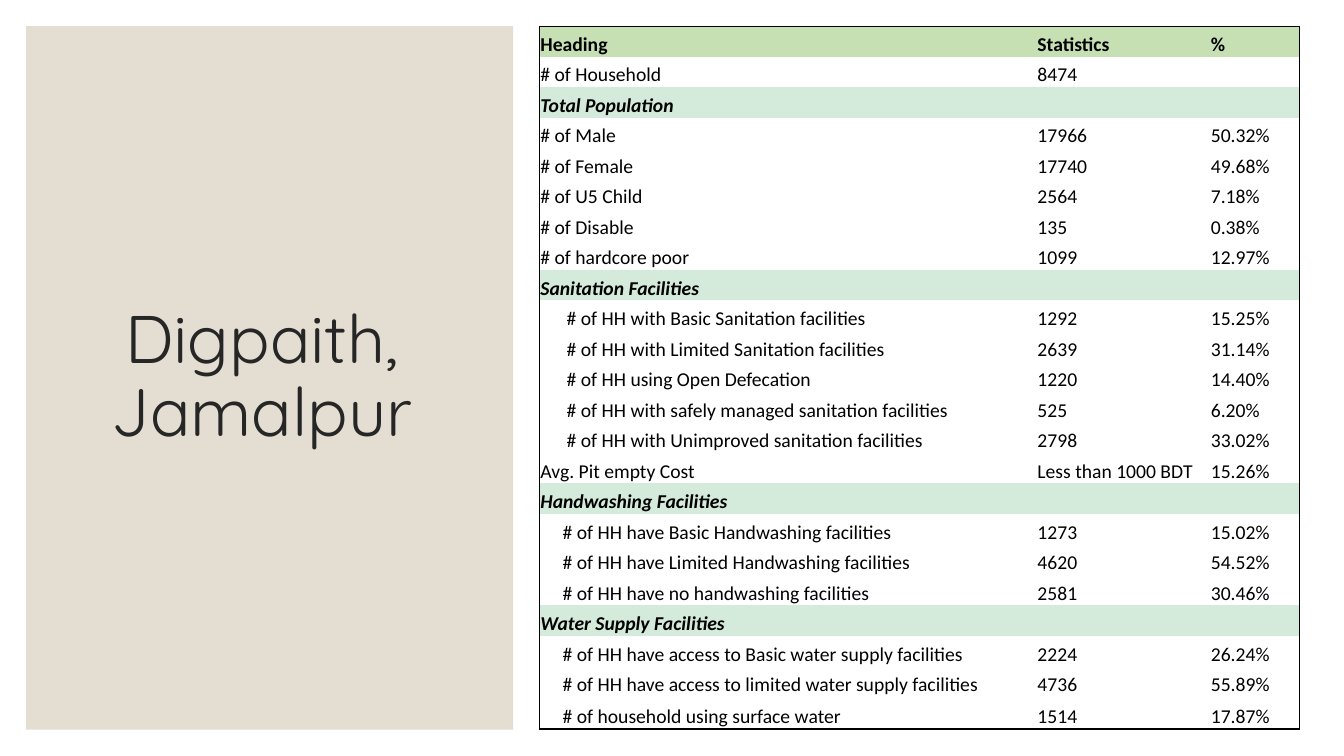
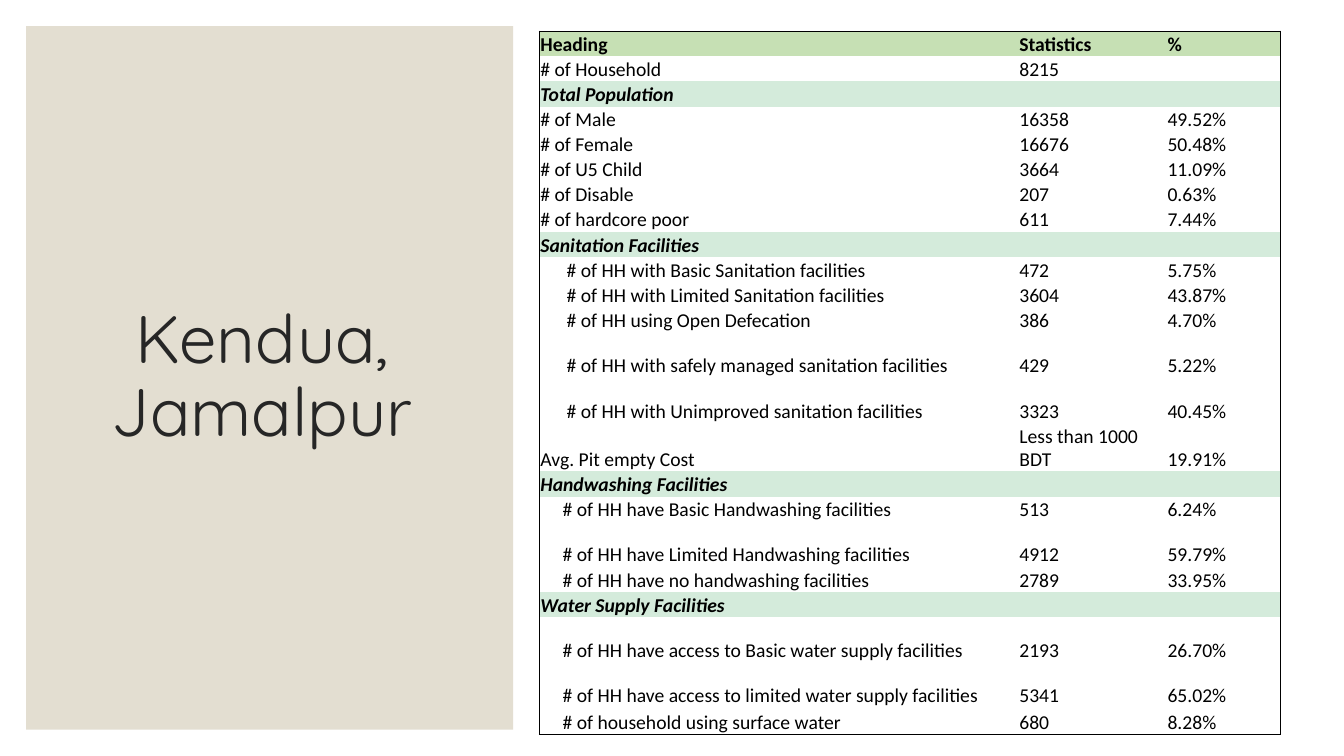
from lxml import etree
from pptx import Presentation
from pptx.dml.color import RGBColor
from pptx.enum.shapes import MSO_SHAPE as SHAPE
from pptx.enum.text import MSO_ANCHOR as ANCHOR, PP_ALIGN as ALIGN
from pptx.oxml.ns import qn
from pptx.util import Inches, Pt

WIDTH, HEIGHT, MARGIN = 13.33, 7.5, 0.26
PANEL_W, PANEL_H = 4.83, HEIGHT - 2 * MARGIN
TABLE_X = PANEL_W + 2 * MARGIN
WHITE, SAND, INK, BLACK = "FFFFFF", "E3DED1", "262626", "000000"
HEADER_GREEN, SECTION_GREEN = "C6E0B4", "D4EBDB"
TITLE_FONT, TABLE_FONT = "Quicksand", "Calibri"
NO_STYLE = "{2D5ABB26-0587-4C30-8999-92F81FD0307C}"

SECTIONS = [
    (None, 0, ["# of Household"]),
    ("Total Population", 0, [
        "# of Male", "# of Female", "# of U5 Child", "# of Disable",
        "# of hardcore poor"]),
    ("Sanitation Facilities", 0.26, [
        "# of HH with Basic Sanitation facilities",
        "# of HH with Limited Sanitation facilities",
        "# of HH using Open Defecation",
        "# of HH with safely managed sanitation facilities",
        "# of HH with Unimproved sanitation facilities",
        "Avg. Pit empty Cost"]),
    ("Handwashing Facilities", 0.22, [
        "# of HH have Basic Handwashing facilities",
        "# of HH have Limited Handwashing facilities",
        "# of HH have no handwashing facilities"]),
    ("Water Supply Facilities", 0.22, [
        "# of HH have access to Basic water supply facilities",
        "# of HH have access to limited water supply facilities",
        "# of household using surface water"]),
]

DIGPAITH = [
    ("8474", ""),
    ("17966", "50.32%"), ("17740", "49.68%"), ("2564", "7.18%"),
    ("135", "0.38%"), ("1099", "12.97%"),
    ("1292", "15.25%"), ("2639", "31.14%"), ("1220", "14.40%"),
    ("525", "6.20%"), ("2798", "33.02%"), ("Less than 1000 BDT", "15.26%"),
    ("1273", "15.02%"), ("4620", "54.52%"), ("2581", "30.46%"),
    ("2224", "26.24%"), ("4736", "55.89%"), ("1514", "17.87%"),
]
KENDUA = [
    ("8215", ""),
    ("16358", "49.52%"), ("16676", "50.48%"), ("3664", "11.09%"),
    ("207", "0.63%"), ("611", "7.44%"),
    ("472", "5.75%"), ("3604", "43.87%"), ("386", "4.70%"),
    ("429", "5.22%"), ("3323", "40.45%"), ("Less than 1000 BDT", "19.91%"),
    ("513", "6.24%"), ("4912", "59.79%"), ("2789", "33.95%"),
    ("2193", "26.70%"), ("5341", "65.02%"), ("680", "8.28%"),
]


def rgb(color):
    return RGBColor.from_string(color)


def box(*lengths):
    return [Inches(v) for v in lengths]


def style(p, font, size, color, bold=False, italic=False):
    f = p.font
    f.name, f.size, f.bold, f.italic = font, Pt(size), bold, italic
    f.color.rgb = rgb(color)


def add_panel(s, color, *lengths):
    sp = s.shapes.add_shape(SHAPE.RECTANGLE, *box(*lengths))
    sp.shadow.inherit = False
    sp.fill.solid()
    sp.fill.fore_color.rgb = rgb(color)
    sp.line.fill.background()


def add_title(s, text):
    tf = s.shapes.add_textbox(*box(0.45, 0.61, 4.3, 6.29)).text_frame
    tf.word_wrap = True
    tf.vertical_anchor = ANCHOR.MIDDLE
    p = tf.paragraphs[0]
    p.text = text
    p.alignment = ALIGN.CENTER
    p.line_spacing = 0.9
    style(p, TITLE_FONT, 48, INK)


def add_borders(cell, sides):
    tc_pr = cell._tc.get_or_add_tcPr()
    for side in sides:
        ln = etree.SubElement(tc_pr, qn(f"a:ln{side}"), w=str(Pt(1)))
        fill = etree.SubElement(ln, qn("a:solidFill"))
        etree.SubElement(fill, qn("a:srgbClr"), val=BLACK)


def fill_cell(cell, text, sides, color=None, indent=0, bold=False, italic=False):
    cell.margin_left = cell.margin_top = cell.margin_right = Inches(0.01)
    cell.margin_bottom = 0
    cell.vertical_anchor = ANCHOR.BOTTOM
    add_borders(cell, sides)
    if color:
        cell.fill.solid()
        cell.fill.fore_color.rgb = rgb(color)
    else:
        cell.fill.background()
    p = cell.text_frame.paragraphs[0]
    if text:
        p.text = text
    else:
        etree.SubElement(p._p, qn("a:endParaRPr"), sz="1400")
    if indent:
        p._p.get_or_add_pPr().set("marL", str(Inches(indent)))
    style(p, TABLE_FONT, 14, BLACK, bold, italic)


def table_rows(values):
    figures = iter(values)
    yield ("Heading", "Statistics", "%"), dict(color=HEADER_GREEN, bold=True), 0
    for section, indent, labels in SECTIONS:
        if section:
            look = dict(color=SECTION_GREEN, bold=True, italic=True)
            yield (section, "", ""), look, 0
        for label in labels:
            shift = indent if label.startswith("#") else 0
            yield (label, *next(figures)), {}, shift


def row_heights(count, total, last, tall_rows, tall):
    normal = (total - last - tall * len(tall_rows)) / (count - 1 - len(tall_rows))
    return [tall if i in tall_rows else normal for i in range(count - 1)] + [last]


def add_statistics(s, values, top, columns, total, last, tall_rows=(), tall=0.45):
    rows = list(table_rows(values))
    frame = s.shapes.add_table(
        len(rows), len(columns), *box(TABLE_X, top, sum(columns), total))
    table = frame.table
    table.first_row = table.horz_banding = False
    table._tbl.tblPr.find(qn("a:tableStyleId")).text = NO_STYLE
    for column, width in zip(table.columns, columns):
        column.width = Inches(width)
    heights = row_heights(len(rows), total, last, tall_rows, tall)
    for i, (texts, look, indent) in enumerate(rows):
        table.rows[i].height = Inches(heights[i])
        is_section = look.get("color") == SECTION_GREEN
        for j, text in enumerate(texts):
            edges = [("L", j == 0),
                     ("R", j == len(columns) - 1 or is_section),
                     ("T", i == 0),
                     ("B", i == len(rows) - 1)]
            sides = [side for side, on in edges if on]
            fill_cell(table.cell(i, j), text, sides,
                      indent=0 if j else indent, **look)
        if is_section:
            table.cell(i, 0).merge(table.cell(i, len(columns) - 1))


def add_union_slide(prs, title, values, **layout):
    s = prs.slides.add_slide(prs.slide_layouts[6])
    add_panel(s, WHITE, 0, 0, WIDTH, HEIGHT)
    add_panel(s, SAND, MARGIN, MARGIN, PANEL_W, PANEL_H)
    add_title(s, title)
    add_statistics(s, values, **layout)


def main():
    prs = Presentation()
    prs.slide_width, prs.slide_height = box(WIDTH, HEIGHT)
    add_union_slide(prs, "Digpaith, Jamalpur", DIGPAITH, top=MARGIN,
                    columns=(4.93, 1.72, 0.89), total=PANEL_H, last=0.32)
    add_union_slide(prs, "Kendua, Jamalpur", KENDUA, top=0.31,
                    columns=(4.75, 1.47, 1.13), total=6.95, last=0.26,
                    tall_rows=(12, 13, 14, 17, 20, 21))
    prs.save("out.pptx")


if __name__ == "__main__":
    main()
